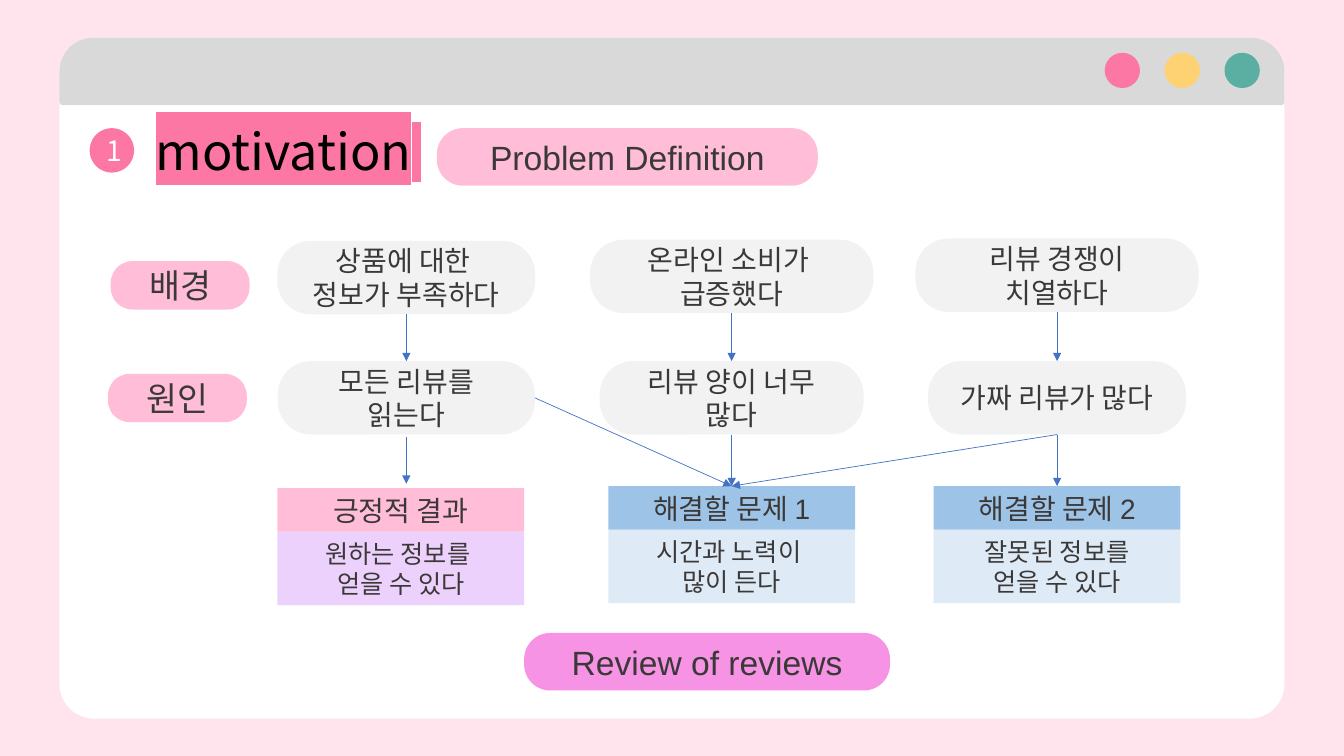
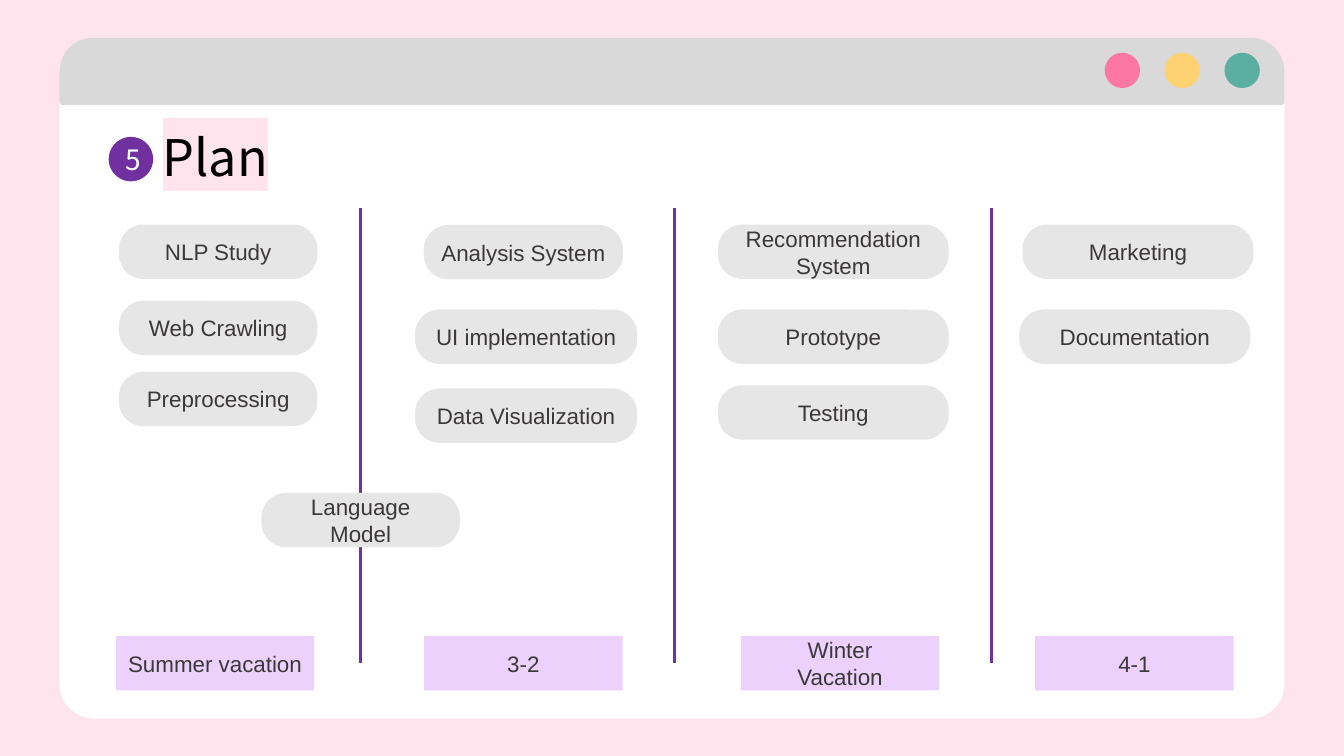
from lxml import etree
from pptx import Presentation
from pptx.dml.color import RGBColor
from pptx.enum.shapes import MSO_CONNECTOR, MSO_SHAPE
from pptx.enum.text import MSO_ANCHOR, MSO_AUTO_SIZE, PP_ALIGN
from pptx.oxml.ns import qn
from pptx.util import Cm, Pt

RECT, ROUND, OVAL = MSO_SHAPE.RECTANGLE, MSO_SHAPE.ROUNDED_RECTANGLE, MSO_SHAPE.OVAL
TOP_ROUND = MSO_SHAPE.ROUND_2_SAME_RECTANGLE
STRAIGHT = MSO_CONNECTOR.STRAIGHT
CENTER, MIDDLE = PP_ALIGN.CENTER, MSO_ANCHOR.MIDDLE
FIT_SHAPE = MSO_AUTO_SIZE.SHAPE_TO_FIT_TEXT

LATIN, KOREAN = "Arial", "Noto Sans CJK KR"
INK, WHITE, BLACK = "3B3838", "FFFFFF", "000000"
BACKDROP, BAR = "FFE4ED", "D9D9D9"
HOT_PINK, PINK, ORCHID, LILAC = "FD77A4", "FFBDD8", "F793E4", "EDD1FD"
YELLOW, TEAL, PURPLE = "FED173", "5AAEA2", "7030A0"
GREY, LIGHT_GREY = "E7E6E6", "F2F2F2"
BLUE, PALE_BLUE, ARROW = "9DC3E6", "DEEBF7", "4472C4"
PILL = 0.453
TOP, BOTTOM, RIGHT = 0, 2, 3  # connection sites of a box


def rgb(color):
    return RGBColor.from_string(color)


# Elements
def add_box(s, kind, left, top, width, height, fill, adjust=()):
    sp = s.shapes.add_shape(kind, Cm(left), Cm(top), Cm(width), Cm(height))
    sp.shadow.inherit = False
    sp.fill.solid()
    sp.fill.fore_color.rgb = rgb(fill)
    sp.line.fill.background()
    for i, value in enumerate(adjust):
        sp.adjustments[i] = value
    return sp


def write(sp, text, size, font=LATIN, color=INK):
    tf = sp.text_frame
    tf.word_wrap = True
    tf.vertical_anchor = MIDDLE
    p = tf.paragraphs[0]
    p.text = text
    p.alignment = CENTER
    p.font.size = Pt(size)
    p.font.color.rgb = rgb(color)
    p.font.name = font
    props = p._p.pPr.find(qn("a:defRPr"))
    etree.SubElement(props, qn("a:ea")).set("typeface", KOREAN)


def add_pill(s, text, left, top, width, height, fill, size):
    sp = add_box(s, ROUND, left, top, width, height, fill, [PILL])
    write(sp, text, size)
    return sp


def add_label(s, text, left, top, width, height, fill, size, font=LATIN):
    sp = add_box(s, RECT, left, top, width, height, fill)
    write(sp, text, size, font)
    return sp


def add_line(s, x1, y1, x2, y2, color, weight):
    line = s.shapes.add_connector(STRAIGHT, Cm(x1), Cm(y1), Cm(x2), Cm(y2))
    line.line.color.rgb = rgb(color)
    line.line.width = Pt(weight)
    etree.SubElement(line._element.spPr, qn("a:effectLst"))
    return line


def add_arrow(s, x1=0, y1=0, x2=0, y2=0):
    line = add_line(s, x1, y1, x2, y2, ARROW, 0.5)
    ln = line._element.spPr.find(qn("a:ln"))
    etree.SubElement(ln, qn("a:tailEnd")).set("type", "triangle")
    return line


def join(s, start, end, start_site=BOTTOM):
    line = add_arrow(s)
    line.begin_connect(start, start_site)
    line.end_connect(end, TOP)


def add_title(s, runs, left, top, width, highlight):
    tb = s.shapes.add_textbox(Cm(left), Cm(top), Cm(width), Cm(1.8))
    tf = tb.text_frame
    tf.word_wrap = False
    tf.auto_size = FIT_SHAPE
    p = tf.paragraphs[0]
    p.alignment = CENTER
    for text, size in runs:
        r = p.add_run()
        r.text = text
        r.font.size = Pt(size)
        r.font.color.rgb = rgb(BLACK)
        mark = etree.Element(qn("a:highlight"))
        etree.SubElement(mark, qn("a:srgbClr")).set("val", highlight)
        r._r.rPr.find(qn("a:solidFill")).addnext(mark)
        r.font.name = KOREAN


def add_badge(s, number, left, top, fill):
    sp = add_box(s, OVAL, left, top, 1.12, 1.12, fill)
    write(sp, number, 20, KOREAN, WHITE)


# Browser window shared by the slides
def add_window(prs):
    s = prs.slides.add_slide(prs.slide_layouts[6])
    s.background.fill.solid()
    s.background.fill.fore_color.rgb = rgb(BACKDROP)
    add_box(s, ROUND, 1.5, 0.95, 30.87, 17.16, WHITE, [0.051])
    add_box(s, TOP_ROUND, 1.5, 0.95, 30.87, 1.7, BAR, [0.5, 0.05])
    for i, color in enumerate([HOT_PINK, YELLOW, TEAL]):
        add_box(s, OVAL, 27.84 + 1.51 * i, 1.33, 0.89, 0.89, color)
    return s


def motivation_slide(prs):
    s = add_window(prs)
    add_title(s, [("motivation", 36), (" ", 30)], 3.43, 2.9, 7.67, HOT_PINK)
    add_badge(s, "1", 2.26, 3.23, HOT_PINK)
    add_pill(s, "Problem Definition", 11.01, 3.23, 9.6, 1.45, PINK, 24)

    # Row labels
    add_pill(s, "배경", 2.79, 6.58, 3.5, 1.22, PINK, 24)
    add_pill(s, "원인", 2.72, 9.42, 3.5, 1.22, PINK, 24)

    # Background and cause: text, width
    columns = [
        ("상품에 대한 \v정보가 부족하다", 6.5, "모든 리뷰를 읽는다", 6.48),
        ("온라인 소비가 \v급증했다", 7.14, "리뷰 양이 너무 많다", 6.65),
        ("리뷰 경쟁이 치열하다", 7.14, "가짜 리뷰가 많다", 6.5),
    ]
    # Outcome: heading, detail, centre offset, top, colours
    outcomes = [
        ("긍정적 결과", "원하는 정보를 \v얻을 수 있다", -0.14, 12.3, PINK, LILAC),
        ("해결할 문제 1", "시간과 노력이 \v많이 든다", 0, 12.25, BLUE, PALE_BLUE),
        ("해결할 문제 2", "잘못된 정보를\v얻을 수 있다", 0, 12.25, BLUE, PALE_BLUE),
    ]
    causes, heads = [], []
    for i, (background, wide, cause, narrow) in enumerate(columns):
        x = 10.24 + 8.2 * i
        upper = add_pill(s, background, x - wide / 2, 6.07 - 0.03 * i, wide, 1.85, LIGHT_GREY, 20)
        lower = add_pill(s, cause, x - narrow / 2, 9.1, narrow, 1.85, LIGHT_GREY, 20)
        join(s, upper, lower)
        causes.append(lower)

        heading, detail, offset, top, head_fill, fill = outcomes[i]
        left = x + offset - 3.11
        add_label(s, detail, left, top + 1.1, 6.22, 1.85, fill, 18, KOREAN)
        heads.append(add_label(s, heading, left, top, 6.22, 1.1, head_fill, 20))

    # Causes lead to outcomes
    add_arrow(s, 10.24, 11, 10.24, 12.19)
    join(s, causes[1], heads[1])
    join(s, causes[2], heads[2])
    join(s, causes[0], heads[1], RIGHT)
    join(s, causes[2], heads[1])
    add_pill(s, "Review of reviews", 13.21, 15.95, 9.22, 1.45, ORCHID, 24)


def plan_slide(prs):
    s = add_window(prs)
    add_title(s, [("Plan", 36)], 3.53, 3.05, 3.8, BACKDROP)
    add_badge(s, "5", 2.74, 3.45, PURPLE)

    # Dividers and periods
    for x in (9.09, 16.99, 24.99):
        add_line(s, x, 5.25, x, 16.7, PURPLE, 2.25)
    periods = [("Summer vacation", 2.92), ("3-2", 10.69),
               ("Winter\vVacation", 18.67), ("4-1", 26.09)]
    for text, left in periods:
        add_label(s, text, left, 16.03, 5, 1.37, LILAC, 16)

    # Tasks: text, left, top, width
    tasks = [
        ("NLP Study", 3, 5.66, 5),
        ("Web Crawling", 3, 7.58, 5),
        ("Preprocessing", 3, 9.37, 5),
        ("Language Model", 6.59, 12.42, 5),
        ("Analysis System", 10.68, 5.67, 5.02),
        ("UI implementation", 10.46, 7.8, 5.6),
        ("Data Visualization", 10.46, 9.79, 5.6),
        ("Recommendation System", 18.09, 5.66, 5.82),
        ("Prototype", 18.09, 7.8, 5.82),
        ("Testing", 18.09, 9.71, 5.82),
        ("Marketing", 25.77, 5.66, 5.82),
        ("Documentation", 25.69, 7.8, 5.82),
    ]
    for text, left, top, width in tasks:
        add_pill(s, text, left, top, width, 1.37, GREY, 16)


def main():
    prs = Presentation()
    prs.slide_width, prs.slide_height = Cm(33.87), Cm(19.05)
    motivation_slide(prs)
    plan_slide(prs)
    prs.save("out.pptx")


if __name__ == "__main__":
    main()
